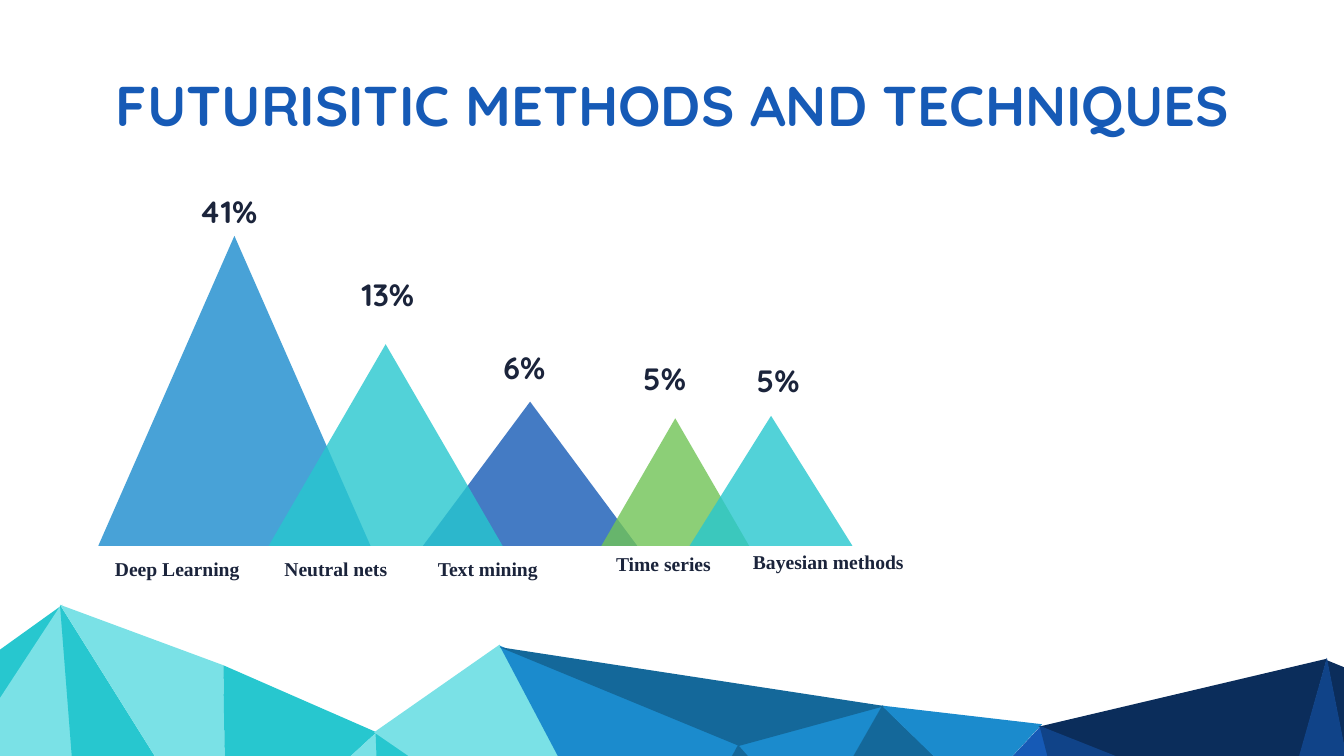
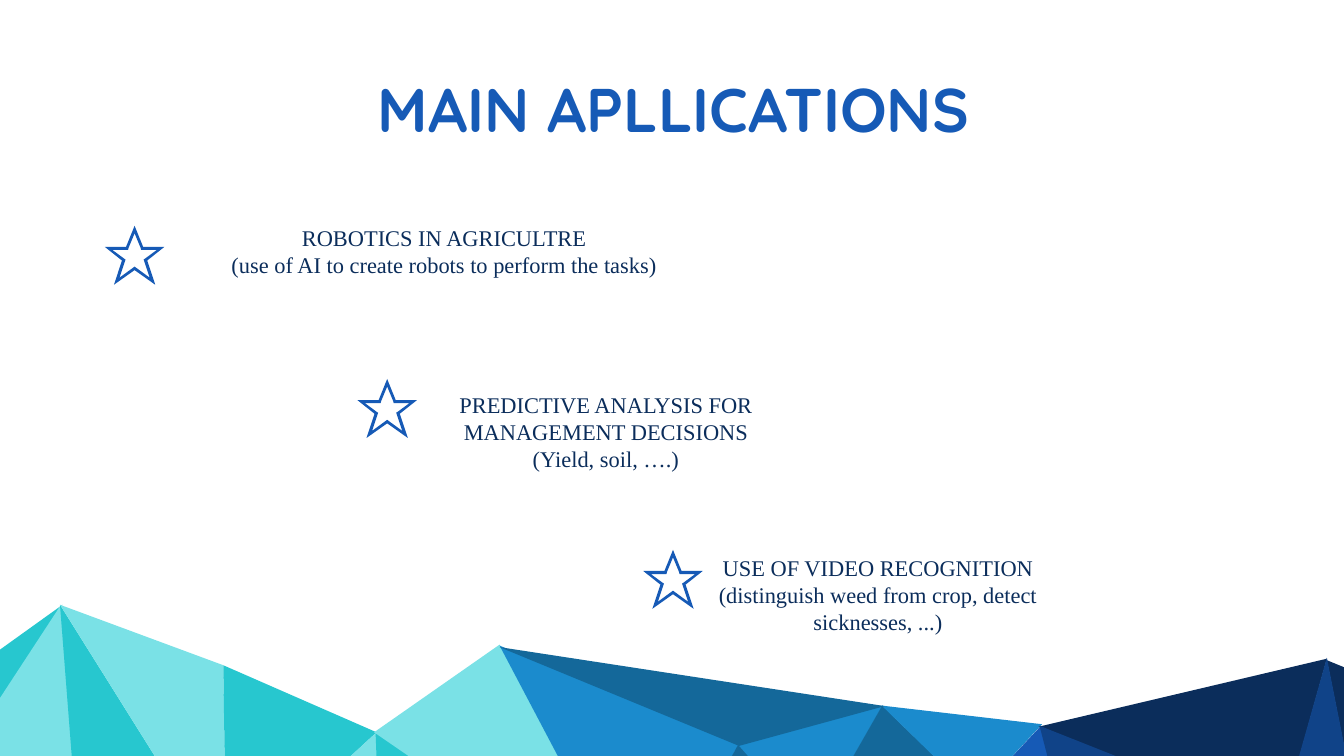
"""Builds two slides on AI methods and applications over a faceted mountain band."""
from lxml import etree
from pptx import Presentation
from pptx.dml.color import RGBColor
from pptx.enum.shapes import MSO_SHAPE
from pptx.enum.text import MSO_ANCHOR, MSO_AUTO_SIZE, PP_ALIGN
from pptx.oxml.ns import qn
from pptx.util import Inches, Pt

TEAL, AQUA, SKY, STEEL = "27C7CF", "7AE1E6", "1B8BCD", "14689A"
BLUE, NAVY, ROYAL, GREEN = "165AB6", "0B2D5B", "104388", "70C456"
INK, WHITE = "1B243B", "FFFFFF"
HEAD_FONT, BODY_FONT = "Quicksand", "Times New Roman"

FACETS = [
    (TEAL, [(1.24, 12), (0, 12.89), (0, 13.88)]),
    (AQUA, [(1.57, 16.63), (1.21, 12), (-0.02, 13.88), (-0.02, 16.63)]),
    (TEAL, [(4.09, 16.63), (1.19, 12), (1.55, 16.63)]),
    (AQUA, [(4.48, 16.63), (4.43, 13.2), (1.19, 12), (4.09, 16.63)]),
    (TEAL, [(5.18, 16.64), (7.47, 14.53), (4.43, 13.2), (4.48, 16.64)]),
    (AQUA, [(7.55, 16.63), (7.47, 14.53), (5.18, 16.63)]),
    (TEAL, [(10.53, 16.64), (7.45, 14.53), (7.53, 16.64)]),
    (AQUA, [(11.94, 16.64), (9.91, 12.79), (7.42, 14.53), (10.49, 16.64)]),
    (SKY, [(13.62, 16.66), (14.66, 14.76), (9.91, 12.81), (11.94, 16.66)]),
    (SKY, [(14.62, 14.79), (16.1, 16.47), (17.51, 14)]),
    (STEEL, [(16.09, 16.47), (19.35, 15.8), (17.5, 14)]),
    (SKY, [(17.49, 14), (19.34, 15.8), (20.67, 14.37)]),
    (BLUE, [(21.24, 16.71), (20.65, 14.4), (19.32, 15.82), (20.28, 16.71)]),
    (NAVY, [(20.6, 14.42), (25.41, 16.33), (26.32, 13.07)]),
    (ROYAL, [(24.42, 16.71), (25.43, 16.31), (20.62, 14.4), (21.22, 16.71)]),
    (NAVY, [(26.81, 13.3), (26.32, 13.1), (26.81, 15.57)]),
    (ROYAL, [(26.81, 16.71), (26.81, 15.52), (26.32, 13.05), (25.4, 16.31), (26, 16.71)]),
    (STEEL, [(9.91, 12.84), (17.55, 14.01), (14.66, 14.8)]),
    (STEEL, [(15.72, 16.68), (16.12, 16.46), (14.64, 14.78), (13.6, 16.68)]),
]

METHODS_TITLE = ("FUTURISITIC METHODS AND TECHNIQUES", 80, (1.8, 1.36, 23.09, 1.44))
BASELINE = 10.83
PEAKS = [
    (8.39, 4.25, 2.86, BLUE),
    (1.95, 5.4, 6.15, SKY),
    (5.33, 4.64, 4, TEAL),
    (11.93, 2.93, 2.53, GREEN),
    (13.68, 3.23, 2.58, TEAL),
]
METHOD_NAMES = [
    ("Deep Learning", 1.98, 11.01, 3.07),
    ("Neutral nets", 5.34, 11.01, 2.64),
    ("Text mining", 8.39, 11.01, 2.57),
    ("Time series", 11.93, 10.91, 2.46),
    ("Bayesian methods", 14.5, 10.87, 3.86),
]
SHARES = [
    ("41%", 3.8, 3.78, 1.45, PP_ALIGN.CENTER),
    ("13%", 6.97, 5.42, 1.45, PP_ALIGN.CENTER),
    ("6%", 9.85, 6.87, 1.1, PP_ALIGN.CENTER),
    ("5%", 12.61, 7.08, 1.1, PP_ALIGN.RIGHT),
    ("5%", 14.86, 7.12, 1.1, PP_ALIGN.RIGHT),
]

APPS_TITLE = ("MAIN APLLICATIONS", 88, (6.91, 1.36, 12.89, 1.57))
APPLICATIONS = [
    (["ROBOTICS IN AGRICULTRE", "(use of AI to create robots to perform the tasks)"],
     (3.25, 4.44, 11.12, 1.58), 0.56),
    (["PREDICTIVE ANALYSIS FOR MANAGEMENT DECISIONS", "(Yield, soil, ….)"],
     (7.68, 7.78, 8.68, 1.58), 0.05),
    (["USE OF VIDEO RECOGNITION", "(distinguish weed from crop, detect sicknesses, ...)"],
     (13.57, 11, 7.69, 1.58), 0.05),
]
STAR_TIPS = [(2.67, 4.48), (7.68, 7.52), (13.35, 10.91)]
STAR_OUTER = [(0, 0), (0.17, 0.42), (0.59, 0.42), (0.25, 0.69), (0.41, 1.17), (0, 0.88)]
STAR_INNER = [(0, 0.15), (0.12, 0.44), (0.13, 0.48), (0.44, 0.48), (0.21, 0.65),
              (0.18, 0.67), (0.3, 1.03), (0.04, 0.84), (0, 0.81)]


def rgb(color):
    return RGBColor.from_string(color)


def box(values):
    return [Inches(v) for v in values]


def paint(sp, color, alpha=None):
    sp.shadow.inherit = False
    sp.fill.solid()
    sp.fill.fore_color.rgb = rgb(color)
    sp.line.fill.background()
    if alpha:
        clr = sp.fill._xPr.find(qn("a:solidFill"))[0]
        etree.SubElement(clr, qn("a:alpha")).set("val", str(alpha * 1000))


def add_outline(shapes, contours, color):
    first, *holes = [[box(point) for point in c] for c in contours]
    builder = shapes.build_freeform(*first[0])
    builder.add_line_segments(first[1:], close=True)
    for hole in holes:
        builder.move_to(*hole[0])
        builder.add_line_segments(hole[1:], close=True)
    paint(builder.convert_to_shape(), color)


def write(tf, lines, size, font, color, bold=False, align=PP_ALIGN.CENTER):
    for i, line in enumerate(lines):
        p = tf.paragraphs[0] if i == 0 else tf.add_paragraph()
        p.alignment = align
        r = p.add_run()
        r.text = line
        r.font.size = Pt(size)
        r.font.name = font
        r.font.bold = bold
        r.font.color.rgb = rgb(color)


def add_label(s, text, at, size, font, color, align=PP_ALIGN.CENTER):
    tf = s.shapes.add_textbox(*box(at)).text_frame
    tf.word_wrap = False
    tf.auto_size = MSO_AUTO_SIZE.SHAPE_TO_FIT_TEXT
    write(tf, [text], size, font, color, True, align)


def add_slide(prs, title, size, at):
    s = prs.slides.add_slide(prs.slide_layouts[6])
    band = s.shapes.add_group_shape()
    for color, points in FACETS:
        add_outline(band.shapes, [points], color)
    add_label(s, title, at, size, HEAD_FONT, BLUE)
    return s


def add_star(s, x, y):
    contours = []
    for half in (STAR_OUTER, STAR_INNER):
        full = half + [(-dx, dy) for dx, dy in reversed(half[1:-1])]
        contours.append([(x + dx, y + dy) for dx, dy in full])
    add_outline(s.shapes, contours, BLUE)


def add_application(s, lines, at, bottom):
    sp = s.shapes.add_shape(MSO_SHAPE.RECTANGLE, *box(at))
    paint(sp, WHITE)
    sp.line.color.rgb = rgb(WHITE)
    sp.line.width = Pt(1)
    tf = sp.text_frame
    tf.word_wrap = True
    tf.vertical_anchor = MSO_ANCHOR.MIDDLE
    tf.margin_bottom = Inches(bottom)
    write(tf, lines, 32, BODY_FONT, NAVY)


def build_methods(prs):
    s = add_slide(prs, *METHODS_TITLE)
    for left, width, height, color in PEAKS:
        at = box((left, BASELINE - height, width, height))
        paint(s.shapes.add_shape(MSO_SHAPE.ISOSCELES_TRIANGLE, *at), color, 80)
    for name, left, top, width in METHOD_NAMES:
        add_label(s, name, (left, top, width, 0.57), 28, BODY_FONT, INK)
    for share, left, top, width, align in SHARES:
        add_label(s, share, (left, top, width, 0.84), 44, HEAD_FONT, INK, align)


def build_applications(prs):
    s = add_slide(prs, *APPS_TITLE)
    for application in APPLICATIONS:
        add_application(s, *application)
    for tip in STAR_TIPS:
        add_star(s, *tip)


def main():
    prs = Presentation()
    prs.slide_width, prs.slide_height = box((26.66, 15))
    build_methods(prs)
    build_applications(prs)
    prs.save("out.pptx")


if __name__ == "__main__":
    main()
